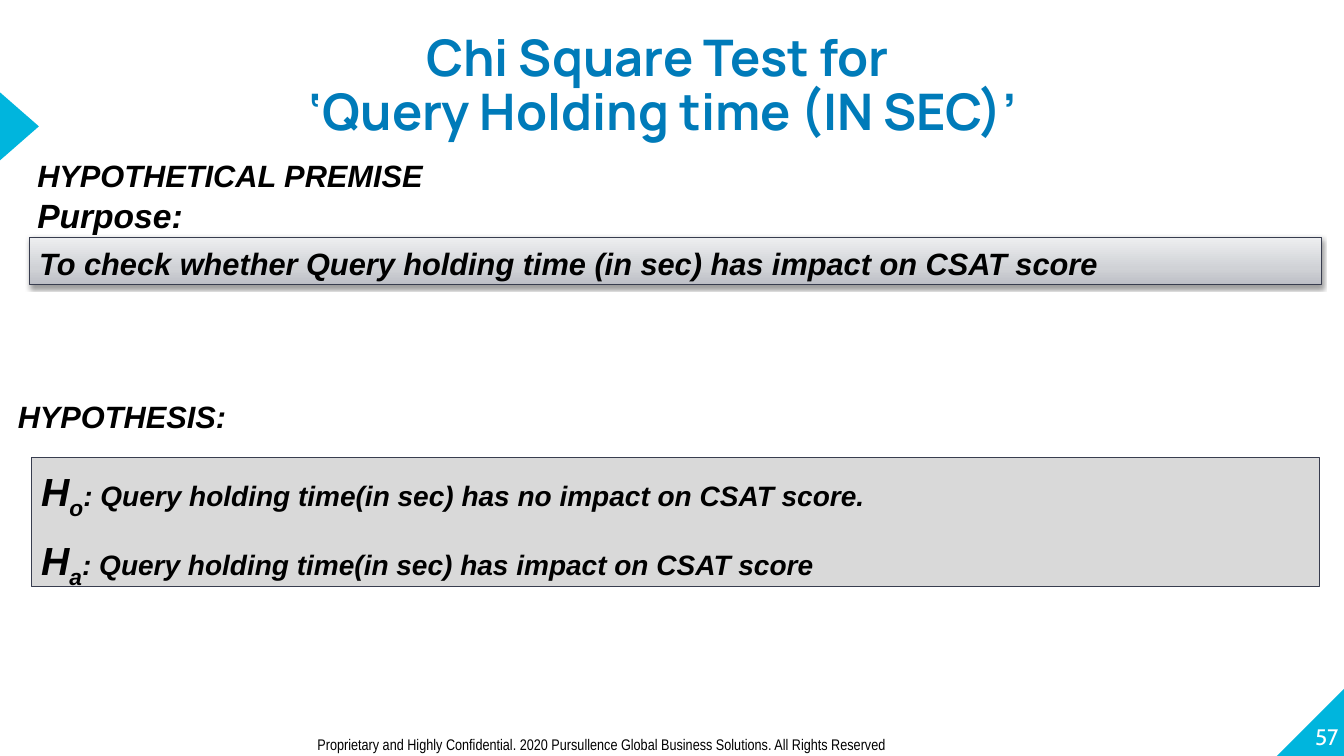
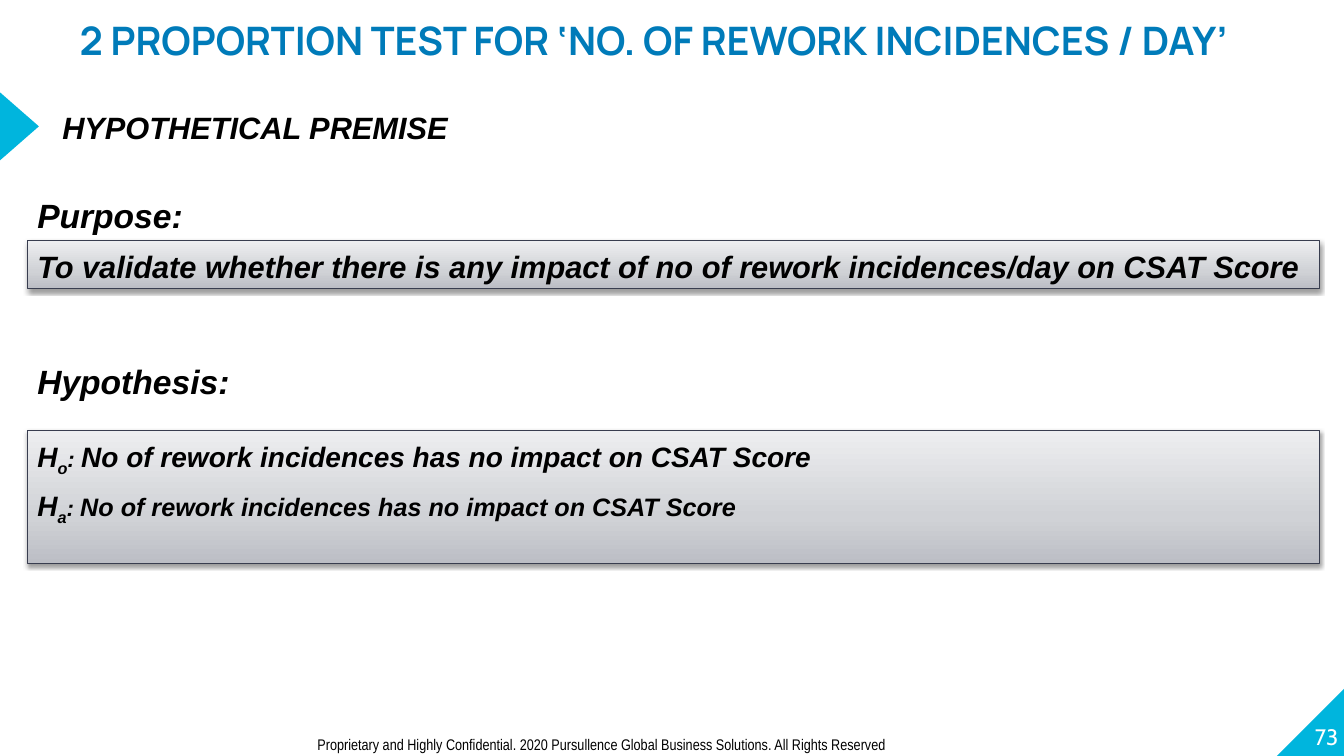
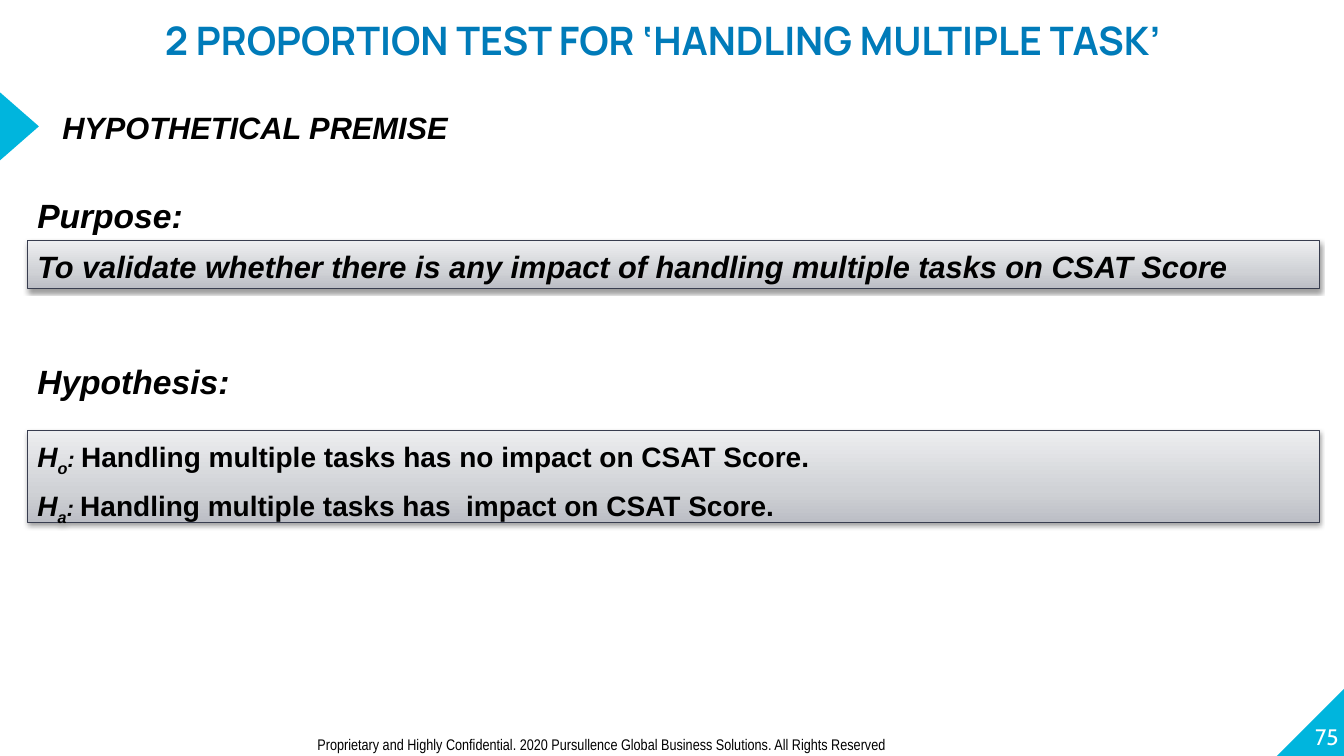
from copy import deepcopy

from lxml.etree import SubElement
from pptx import Presentation
from pptx.dml.color import RGBColor
from pptx.enum.shapes import MSO_SHAPE
from pptx.enum.text import MSO_ANCHOR, PP_ALIGN
from pptx.oxml.ns import qn
from pptx.util import Cm, Pt

CYAN = RGBColor(0x00, 0xB5, 0xDD)
BLUE = RGBColor(0x00, 0x7B, 0xB9)
BLACK = RGBColor(0, 0, 0)
WHITE = RGBColor(255, 255, 255)
LIGHT_GREY = RGBColor(0xD9, 0xD9, 0xD9)
OUTLINE = RGBColor(0x38, 0x3D, 0x4F)
GRADIENT = [(0, RGBColor(0xBC, 0xBE, 0xC5)), (0.35, RGBColor(0xD0, 0xD2, 0xD6)),
            (1, RGBColor(0xED, 0xEE, 0xF0))]

FOOTER = ("Proprietary and Highly Confidential. 2020 Pursullence Global Business "
          "Solutions. All Rights Reserved")

# Places are left, top, width, height in centimetres.
FOOTER_PLACE = (7.75, 18.39, 21.62, 0.74)
NUMBER_PLACE = (32.03, 17.17, 1.7, 1.73)
CORNER_PLACE = (32.18, 17.32, 1.73, 1.73)
MARKER_PLACE = (-0.38, 2.69, 1.73, 0.99)
PURPOSE_PLACE = (0.69, 4.72, 4.22, 1.27)
TEXT_INSETS = (0.25, 0.18, 0.25, 0.13)

PROPORTION_TEST = dict(
    title_place=(-0.33, -0.05, 34.06, 2.49), title_size=28, title_spacings=[1.4],
    title_anchor=MSO_ANCHOR.TOP, premise_at=(1.32, 2.57),
    heading="Hypothesis:", heading_at=(0.69, 8.92), heading_size=24,
    purpose_bar_at=(0.69, 6.07), symbol_size=20, colon_size=16, gap=6.5, glossy=True)

# Each claim is subscript, text, size, italic.
PAGES = [
    dict(
        number=57, title=["Chi Square Test for ", "‘Query Holding time (IN SEC)’"],
        title_place=(4.37, 1.04, 24.66, 1.37), title_size=36, title_spacings=[1.5, 0.9],
        title_anchor=MSO_ANCHOR.MIDDLE, premise_at=(0.69, 3.78),
        purpose="To check whether Query holding time (in sec) has impact on CSAT score",
        purpose_bar_at=(0.74, 5.99),
        heading="HYPOTHESIS:", heading_at=(0.2, 9.83), heading_size=22,
        claims=[("o", "Query holding time(in sec) has no impact on CSAT score.", 20, True),
                ("a", "Query holding time(in sec) has impact on CSAT score", 20, True)],
        claims_place=(0.79, 11.53, 32.46, 3.25),
        symbol_size=28, colon_size=20, gap=9, glossy=False),
    PROPORTION_TEST | dict(
        number=73, title=["2 PROPORTION TEST FOR ‘NO. OF REWORK INCIDENCES / DAY’"],
        title_place=(-0.56, -0.05, 34.06, 2.49),
        purpose="To validate whether there is any impact of no of rework incidences/day "
                "on CSAT Score",
        claims=[("o", "No of rework incidences has no impact on CSAT Score", 20, True),
                ("a", "No of rework incidences has no impact on CSAT Score", 18, True)],
        claims_place=(0.69, 10.85, 32.56, 3.35)),
    PROPORTION_TEST | dict(
        number=75, title=["2 PROPORTION TEST FOR ‘HANDLING MULTIPLE TASK’"],
        purpose="To validate whether there is any impact of handling multiple tasks "
                "on CSAT Score",
        claims=[("o", "Handling multiple tasks has no impact on CSAT Score.", 20, False),
                ("a", "Handling multiple tasks has  impact on CSAT Score.", 20, False)],
        claims_place=(0.69, 10.85, 32.56, 2.31)),
]


def lengths(place):
    return [Cm(value) for value in place]


def add_span(para, text, size, font="Arial", color=BLACK, bold=True, italic=True,
             subscript=False):
    span = para.add_run()
    span.text = text
    span.font.name = font
    span.font.size = Pt(size)
    span.font.color.rgb = color
    span.font.bold = bold
    span.font.italic = italic
    if subscript:
        span.font._element.set("baseline", "-25000")


def set_frame(box, insets=TEXT_INSETS, anchor=MSO_ANCHOR.TOP, wrap=True):
    frame = box.text_frame
    frame.word_wrap = wrap
    frame.vertical_anchor = anchor
    (frame.margin_left, frame.margin_top,
     frame.margin_right, frame.margin_bottom) = lengths(insets)
    return frame


def add_text(page, place, text, size, insets=TEXT_INSETS, anchor=MSO_ANCHOR.TOP,
             wrap=True, align=PP_ALIGN.LEFT, **style):
    box = page.shapes.add_textbox(*lengths(place))
    para = set_frame(box, insets, anchor, wrap).paragraphs[0]
    para.alignment = align
    add_span(para, text, size, **style)
    return box


def add_solid(page, kind, place, color, rotation=0):
    shape = page.shapes.add_shape(kind, *lengths(place))
    shape.shadow.inherit = False
    shape.fill.solid()
    shape.fill.fore_color.rgb = color
    shape.line.fill.background()
    shape.rotation = rotation
    return shape


def make_glossy(shape):
    """Give the shape a grey gradient, darkest at the bottom, and a soft shadow."""
    fill = shape.fill
    fill.gradient()
    fill.gradient_angle = 90
    stop_list = shape._element.spPr.find(".//" + qn("a:gsLst"))
    stop_list.insert(1, deepcopy(stop_list[0]))
    for stop, (position, color) in zip(fill.gradient_stops, GRADIENT):
        stop.position = position
        stop.color.rgb = color
    effects = shape._element.spPr.find(qn("a:effectLst"))
    shadow = SubElement(effects, qn("a:outerShdw"), blurRad="40000", dist="20000",
                        dir="5400000", rotWithShape="0")
    black = SubElement(shadow, qn("a:srgbClr"), val="000000")
    SubElement(black, qn("a:alpha"), val="38000")


def add_panel(page, place, glossy=True):
    panel = add_solid(page, MSO_SHAPE.RECTANGLE, place, LIGHT_GREY)
    panel.line.color.rgb = OUTLINE
    panel.line.width = Pt(0.75)
    if glossy:
        make_glossy(panel)
    return set_frame(panel)


def add_frame_parts(page, number):
    """Add the corner, marker, page number and footer that every slide has."""
    add_solid(page, MSO_SHAPE.RIGHT_TRIANGLE, CORNER_PLACE, CYAN, rotation=270)
    add_solid(page, MSO_SHAPE.ISOSCELES_TRIANGLE, MARKER_PLACE, CYAN, rotation=90)
    add_text(page, NUMBER_PLACE, str(number), 16, insets=(0, 0, 0, 0),
             anchor=MSO_ANCHOR.BOTTOM, align=PP_ALIGN.RIGHT, font="Cabin",
             color=WHITE, bold=False, italic=False)
    add_text(page, FOOTER_PLACE, FOOTER, 11, insets=(0.25, 0.13, 0.25, 0.13),
             font="Arial Narrow", bold=False, italic=False)


def add_title(page, content):
    box = page.shapes.add_textbox(*lengths(content["title_place"]))
    frame = set_frame(box, (0, 0, 0, 0), content["title_anchor"])
    for index, (line, spacing) in enumerate(zip(content["title"], content["title_spacings"])):
        para = frame.add_paragraph() if index else frame.paragraphs[0]
        para.alignment = PP_ALIGN.CENTER
        para.line_spacing = spacing
        add_span(para, line, content["title_size"], font="Manrope", color=BLUE, italic=False)


def add_claims(page, content):
    frame = add_panel(page, content["claims_place"], content["glossy"])
    for index, (subscript, text, size, italic) in enumerate(content["claims"]):
        para = frame.add_paragraph() if index else frame.paragraphs[0]
        para.alignment = PP_ALIGN.LEFT
        para.line_spacing = 1.05
        if index:
            para.space_before = Pt(content["gap"])
        add_span(para, "H", content["symbol_size"])
        add_span(para, subscript, content["symbol_size"], subscript=True)
        add_span(para, ": ", content["colon_size"])
        add_span(para, text, size, italic=italic)


def add_page(deck, content):
    page = deck.slides.add_slide(deck.slide_layouts[6])
    add_frame_parts(page, content["number"])
    add_title(page, content)
    add_text(page, (*content["premise_at"], 13.54, 1.19), "HYPOTHETICAL PREMISE", 22)
    add_text(page, PURPOSE_PLACE, "Purpose:", 24, wrap=False)
    bar = add_panel(page, (*content["purpose_bar_at"], 32.56, 1.19))
    bar.paragraphs[0].alignment = PP_ALIGN.LEFT
    add_span(bar.paragraphs[0], content["purpose"], 22)
    add_text(page, (*content["heading_at"], 13.54, 1.27), content["heading"],
             content["heading_size"])
    add_claims(page, content)


def main():
    deck = Presentation()
    deck.slide_width, deck.slide_height = Cm(33.87), Cm(19.05)
    for content in PAGES:
        add_page(deck, content)
    deck.save("out.pptx")


if __name__ == "__main__":
    main()
